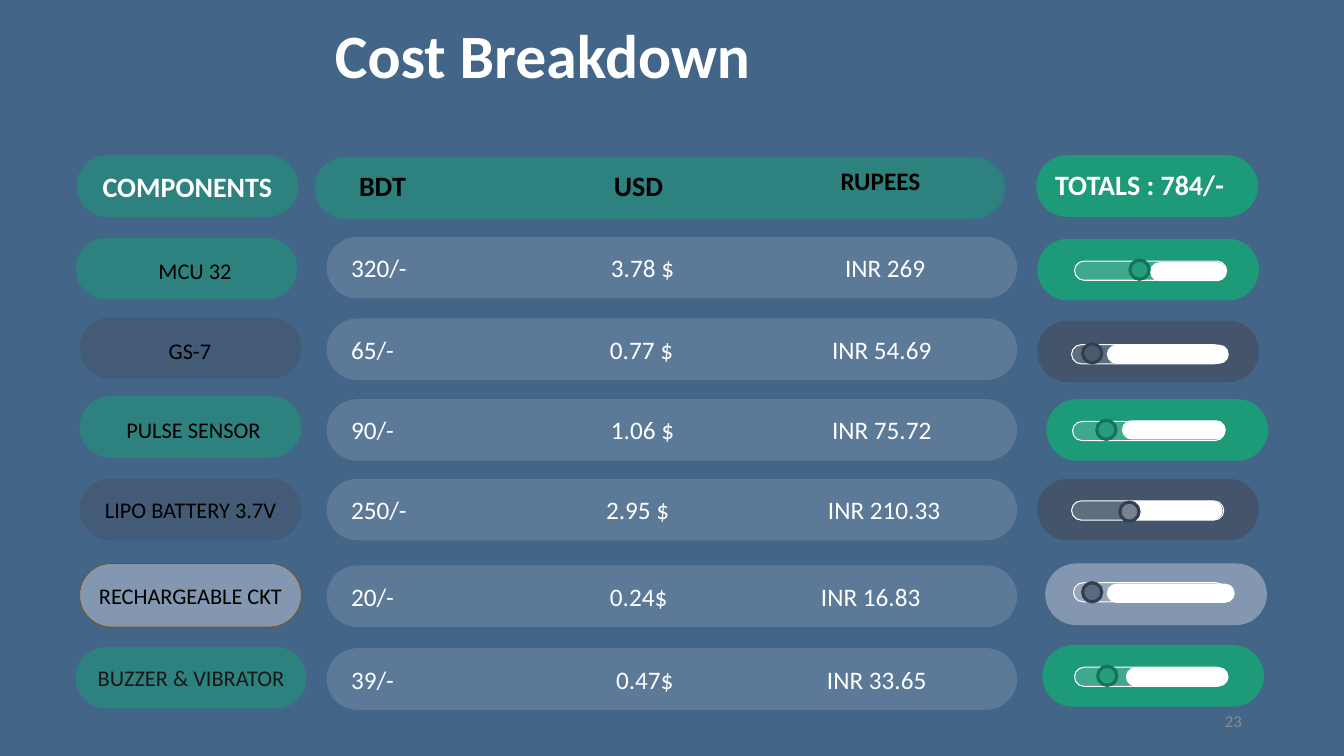
from pptx import Presentation
from pptx.dml.color import RGBColor
from pptx.enum.shapes import MSO_SHAPE
from pptx.enum.text import MSO_ANCHOR, PP_ALIGN
from pptx.oxml.ns import qn
from pptx.util import Pt
from lxml import etree

PILL, CIRCLE = MSO_SHAPE.ROUNDED_RECTANGLE, MSO_SHAPE.OVAL
LEFT, CENTER, RIGHT = PP_ALIGN.LEFT, PP_ALIGN.CENTER, PP_ALIGN.RIGHT
MIDDLE = MSO_ANCHOR.MIDDLE

BLUE = RGBColor(0x42, 0x65, 0x88)
GREEN = RGBColor(0x1D, 0x9A, 0x78)
DARK_GREEN = RGBColor(0x15, 0x72, 0x59)
SLATE = RGBColor(0x44, 0x54, 0x6A)
DARK_SLATE = RGBColor(0x33, 0x3F, 0x50)
STEEL = RGBColor(0x84, 0x97, 0xB0)
PALE = RGBColor(0xAD, 0xB9, 0xCA)
BROWN = RGBColor(0x7D, 0x50, 0x08)
GREY = RGBColor(0x8C, 0x8C, 0x8C)
INK = RGBColor(0x18, 0x17, 0x17)
BLACK = RGBColor(0, 0, 0)
WHITE = RGBColor(0xFF, 0xFF, 0xFF)

PILL_HEIGHT = 44
NAME_WIDTH = TOTAL_WIDTH = 158.4
COST_LEFT, COST_WIDTH = 233.3, 493.2
COST_MARGIN = 11
COST_TEXT_LEFT = 250.7
TRACK_WIDTH, TRACK_HEIGHT = 108.7, 13.7

deck = Presentation()
deck.slide_width, deck.slide_height = Pt(960), Pt(540)
page = deck.slides.add_slide(deck.slide_layouts[6])
page.background.fill.solid()
page.background.fill.fore_color.rgb = BLUE


def add_form(kind, left, top, width, height, fill, opacity=100, line=None, weight=0):
    """Add a pill or circle; opacity is in percent."""
    form = page.shapes.add_shape(kind, Pt(left), Pt(top), Pt(width), Pt(height))
    form.shadow.inherit = False
    if kind == PILL:
        form.adjustments[0] = 0.5
    form.fill.solid()
    form.fill.fore_color.rgb = fill
    if opacity < 100:
        color = form.fill._xPr.find(qn("a:solidFill"))[0]
        etree.SubElement(color, qn("a:alpha"), val=str(opacity * 1000))
    if line is None:
        form.line.fill.background()
    else:
        form.line.color.rgb = line
        form.line.width = Pt(weight)
    return form


def write(box, text, size, color, bold=False, align=CENTER, margin=0, tabs=()):
    """Fill a shape with one line of text; tab stops are in points."""
    frame = box.text_frame
    frame.word_wrap = False
    frame.vertical_anchor = MIDDLE
    frame.margin_left = frame.margin_right = Pt(margin)
    frame.margin_top = frame.margin_bottom = 0
    para = frame.paragraphs[0]
    para.alignment = align
    if tabs:
        stops = etree.SubElement(para._p.get_or_add_pPr(), qn("a:tabLst"))
        for stop in tabs:
            etree.SubElement(stops, qn("a:tab"), pos=str(int(Pt(stop))), algn="l")
    span = para.add_run()
    span.text = text
    span.font.name = "Calibri"
    span.font.size = Pt(size)
    span.font.bold = bold
    span.font.color.rgb = color


# Header pills
name_head = add_form(PILL, 54.7, 110.9, NAME_WIDTH, PILL_HEIGHT, GREEN, 55)
write(name_head, "COMPONENTS", 20, WHITE, True)
add_form(PILL, 224.6, 112.3, COST_WIDTH, PILL_HEIGHT, GREEN, 55)
add_form(PILL, 740.2, 110.9, TOTAL_WIDTH, PILL_HEIGHT, GREEN)

# Text, left, top, width, height, size, colour, bold, alignment, margin
captions = [
    ("Cost Breakdown", 23, 11.5, 729.4, 53.3, 44, WHITE, True, CENTER, 0),
    ("BDT", 242.6, 120.2, 61.2, 24.5, 20, BLACK, True, CENTER, 0),
    ("USD", 429.1, 120.2, 54, 24.5, 20, BLACK, True, CENTER, 0),
    ("RUPEES", 598.9, 118.1, 60, 21.6, 18, BLACK, True, CENTER, 0),
    ("TOTALS : 784/-", 752.4, 119.5, 123.1, 24.5, 20, WHITE, True, CENTER, 0),
    ("23", 678.2, 500.4, 216, 28.8, 12, GREY, False, RIGHT, 7.2),
    ("MCU 32", 111.6, 183.6, 55.4, 19.4, 16, BLACK, False, CENTER, 0),
    ("GS-7", 108, 240.5, 55.4, 19.4, 16, BLACK, False, CENTER, 0),
    ("PULSE SENSOR", 78.5, 297.4, 119.5, 19.4, 16, BLACK, False, CENTER, 0),
    ("LIPO BATTERY 3.7V", 64.8, 354.2, 142.6, 19.4, 16, BLACK, False, CENTER, 0),
]

# Name pill: left, top, width, height, fill, opacity, line, weight
name_pills = [
    (54, 169.9, NAME_WIDTH, PILL_HEIGHT, GREEN, 55),
    (56.9, 226.8, NAME_WIDTH, PILL_HEIGHT, SLATE, 55),
    (56.9, 283, NAME_WIDTH, PILL_HEIGHT, GREEN, 55),
    (56.9, 342, NAME_WIDTH, PILL_HEIGHT, SLATE, 55),
    (56.9, 402.5, NAME_WIDTH, 45.4, STEEL, 100, BROWN, 0.5),
    (54, 462.2, 164.9, PILL_HEIGHT, GREEN, 55),
]
names = [add_form(PILL, *pill) for pill in name_pills]
write(names[4], "RECHARGEABLE CKT", 16, BLACK)
write(names[5], "BUZZER & VIBRATOR", 16, INK)

# Top, costs, and the left edges of the dollar and rupee amounts
costs = [
    (169.2, ("320/-", "3.78 $", "INR 269"), (436.4, 603.6)),
    (227.5, ("65/-", "0.77 $", "INR 54.69"), (435.7, 594.3)),
    (285.1, ("90/-", "1.06 $", "INR 75.72"), (436.4, 594.3)),
    (342, ("250/-", "2.95 $", "INR 210.33"), (432.9, 591.4)),
    (403.9, ("20/-", "0.24$", "INR 16.83"), (435.7, 586.4)),
    (463, ("39/-", "0.47$", "INR 33.65"), (440, 590.7)),
]
for top, amounts, edges in costs:
    row = add_form(PILL, COST_LEFT, top, COST_WIDTH, PILL_HEIGHT, PALE, 25)
    stops = [edge - COST_TEXT_LEFT for edge in edges]
    write(row, "\t".join(amounts), 18, WHITE, False, LEFT, COST_MARGIN, stops)

# Total pill, track, bar (left, top, width), knob, pill fill, knob fill and line
sliders = [
    ((740.9, 170.6), (767.5, 186.5), (821.5, 187.2, 54.7), (807.1, 185.8),
     GREEN, GREEN, DARK_GREEN),
    ((740.9, 229), (765.4, 246.2), (790.6, 246.2, 87.1), (773.3, 245.5),
     SLATE, SLATE, DARK_SLATE),
    ((747.4, 285.1), (766.1, 301), (801.4, 300.2, 74.2), (783.4, 300.2),
     GREEN, GREEN, DARK_GREEN),
    ((740.9, 342), (765.4, 357.8), (800.6, 357.8, 72.7), (799.9, 358.6),
     SLATE, SLATE, DARK_SLATE),
    ((746.6, 402.5), (766.8, 416.2), (790.6, 416.9, 91.4), (773.3, 416.2),
     STEEL, SLATE, DARK_SLATE),
    ((744.5, 460.8), (767.5, 476.6), (804.2, 476.6, 73.4), (784.1, 475.9),
     GREEN, GREEN, DARK_GREEN),
]
for total, track, bar, knob, pill_fill, knob_fill, knob_line in sliders:
    add_form(PILL, *total, TOTAL_WIDTH, PILL_HEIGHT, pill_fill)
    add_form(PILL, *track, TRACK_WIDTH, TRACK_HEIGHT, WHITE, 15, WHITE, 0.75)
    add_form(PILL, *bar, TRACK_HEIGHT, WHITE)
    add_form(CIRCLE, *knob, TRACK_HEIGHT, TRACK_HEIGHT, knob_fill, 73, knob_line, 2.25)

for text, left, top, width, height, *style in captions:
    box = page.shapes.add_textbox(Pt(left), Pt(top), Pt(width), Pt(height))
    write(box, text, *style)

deck.save("out.pptx")
